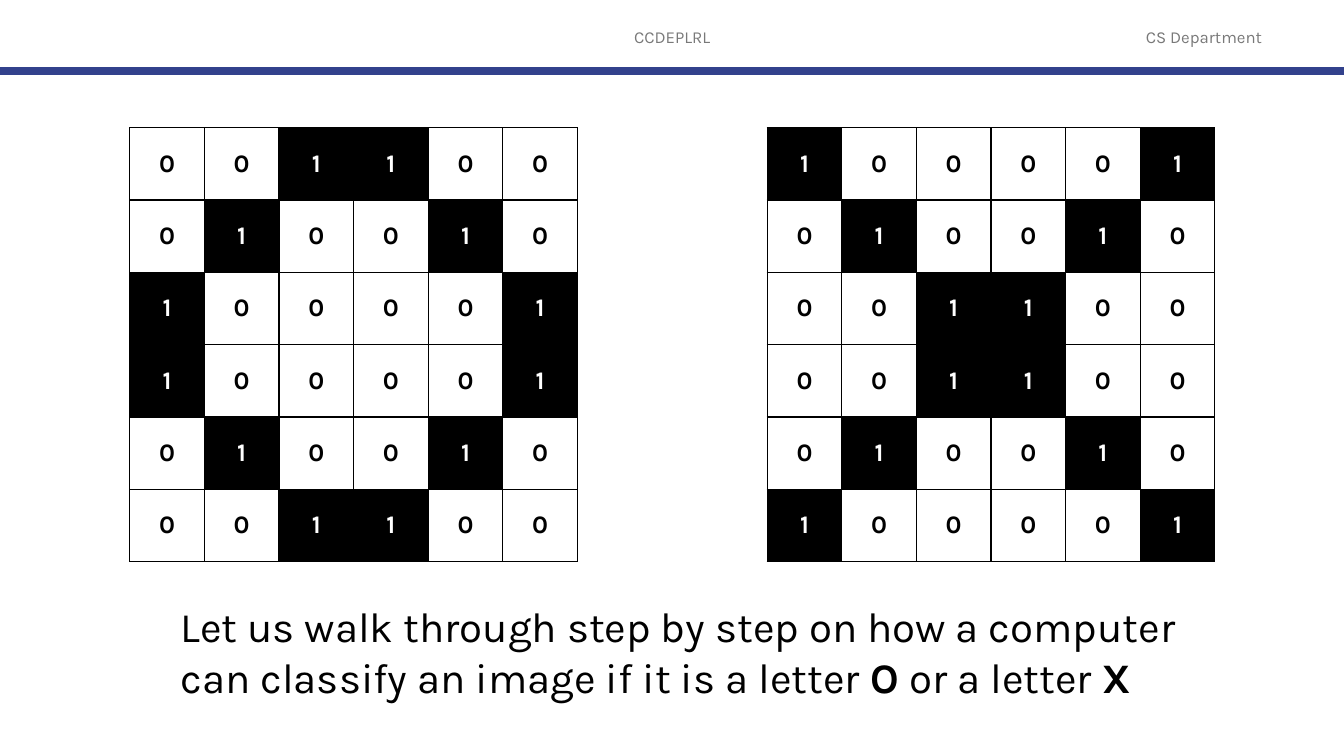
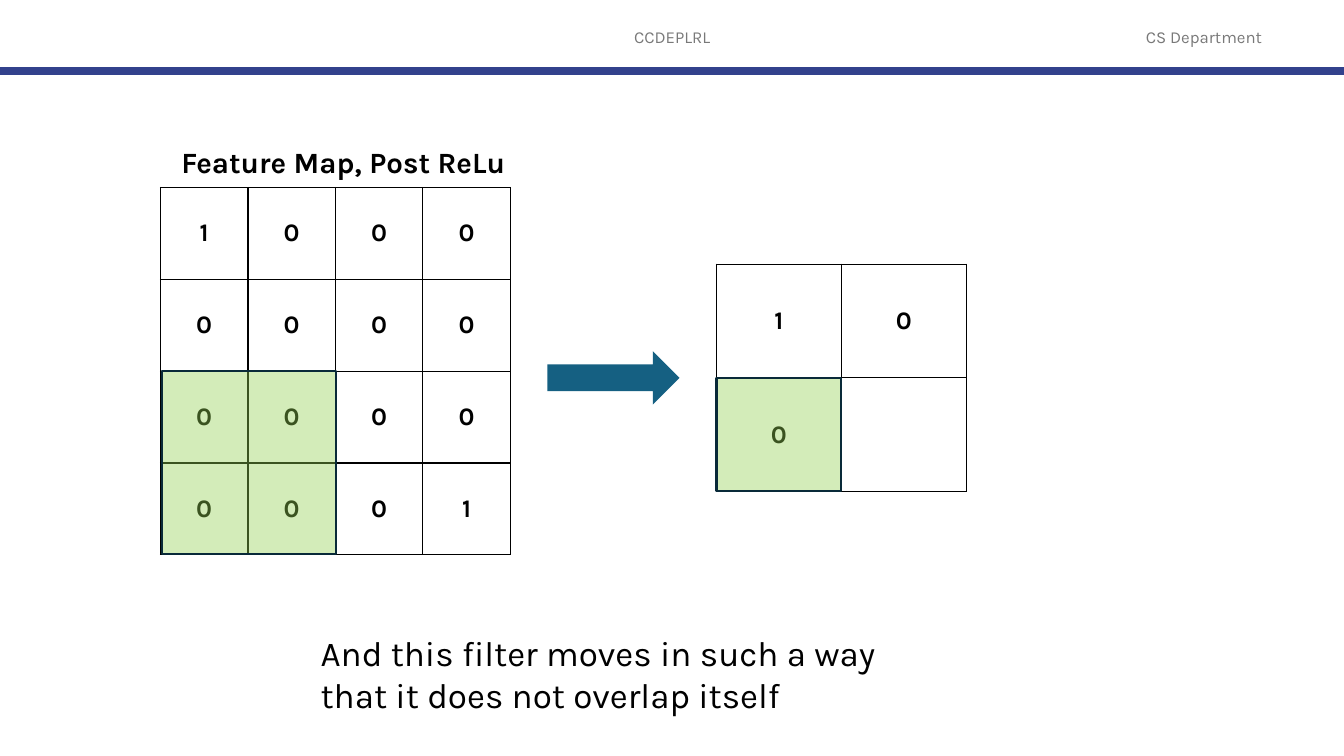
from lxml.etree import SubElement
from pptx import Presentation
from pptx.dml.color import RGBColor
from pptx.enum.shapes import MSO_CONNECTOR, MSO_SHAPE
from pptx.enum.text import MSO_ANCHOR, MSO_AUTO_SIZE, PP_ALIGN
from pptx.oxml.ns import qn
from pptx.util import Pt

FONT = "Karla"
BLACK = "000000"
WHITE = "FFFFFF"
GRAY = "797979"
NAVY = "32418C"
TEAL = "156082"
GREEN = "92D050"
DARK_TEAL = "092A39"
SLIDE_WIDTH = 960
SLIDE_HEIGHT = 540

LETTER_O = ["001100", "010010", "100001", "100001", "010010", "001100"]
LETTER_X = ["100001", "010010", "001100", "001100", "010010", "100001"]
FEATURE_MAP = ["1000", "0000", "0000", "0001"]
POOLED_MAP = ["10", "0 "]


def color(value):
    return RGBColor.from_string(value)


def set_font(para, size, ink=BLACK, bold=False, align=PP_ALIGN.LEFT):
    para.alignment = align
    para.font.name = FONT
    para.font.size = Pt(size)
    para.font.bold = bold
    para.font.color.rgb = color(ink)


def add_label(page, text, left, top, width, height, size, **style):
    box = page.shapes.add_textbox(Pt(left), Pt(top), Pt(width), Pt(height))
    box.text_frame.word_wrap = True
    box.text_frame.vertical_anchor = MSO_ANCHOR.MIDDLE
    para = box.text_frame.paragraphs[0]
    para.text = text
    set_font(para, size, **style)
    return box


def add_rule(page, top, weight):
    rule = page.shapes.add_connector(
        MSO_CONNECTOR.STRAIGHT, Pt(0), Pt(top), Pt(SLIDE_WIDTH), Pt(top))
    rule.line.color.rgb = color(NAVY)
    rule.line.width = Pt(weight)
    SubElement(rule.element.spPr, qn("a:effectLst"))
    return rule


def put_header_on_layout(layout, page):
    for placeholder in list(layout.placeholders)[1:]:
        layout.shapes.element.remove(placeholder.element)
    centered = {"ink": GRAY, "align": PP_ALIGN.CENTER}
    header = [
        add_label(page, "CCDEPLRL", 318.2, 12.2, 324, 28.8, 12, **centered),
        add_label(page, "CS Department", 786.2, 12.2, 147.6, 28.8, 12, **centered),
        add_rule(page, 50.6, 6),
    ]
    for shape in header:
        layout.shapes.element.append(shape.element)


def set_caption(page, spans, left, top, width, height, size):
    caption = page.shapes.title
    caption.left, caption.top = Pt(left), Pt(top)
    caption.width, caption.height = Pt(width), Pt(height)
    frame = caption.text_frame
    frame.auto_size = MSO_AUTO_SIZE.NONE
    frame.word_wrap = True
    frame.vertical_anchor = MSO_ANCHOR.TOP
    para = frame.paragraphs[0]
    set_font(para, size)
    for text, bold in spans:
        span = para.add_run()
        span.text = text
        span.font.bold = bold


def add_borders(table_cell):
    properties = table_cell.get_or_add_tcPr()
    for side in ("a:lnL", "a:lnR", "a:lnT", "a:lnB"):
        border = SubElement(properties, qn(side), w=str(Pt(1)))
        fill = SubElement(border, qn("a:solidFill"))
        SubElement(fill, qn("a:srgbClr"), val=BLACK)


def add_grid(page, rows, left, top, cell_width, cell_height, ink_ones=False):
    row_count, column_count = len(rows), len(rows[0])
    frame = page.shapes.add_table(
        row_count, column_count, Pt(left), Pt(top),
        Pt(cell_width * column_count), Pt(cell_height * row_count))
    table = frame.table
    table.first_row = False
    table.horz_banding = False
    for table_cell in frame.element.iter(qn("a:tc")):
        add_borders(table_cell)
    for cell, digit in zip(table.iter_cells(), "".join(rows)):
        inked = ink_ones and digit == "1"
        cell.fill.solid()
        cell.fill.fore_color.rgb = color(BLACK if inked else WHITE)
        cell.vertical_anchor = MSO_ANCHOR.MIDDLE
        para = cell.text_frame.paragraphs[0]
        para.text = digit.strip()
        set_font(para, 18, WHITE if inked else BLACK, True, PP_ALIGN.CENTER)


def add_filled_shape(page, kind, left, top, width, height, fill):
    shape = page.shapes.add_shape(kind, Pt(left), Pt(top), Pt(width), Pt(height))
    shape.shadow.inherit = False
    shape.fill.solid()
    shape.fill.fore_color.rgb = color(fill)
    shape.line.fill.background()
    return shape


def add_highlight(page, left, top, width, height):
    shape = add_filled_shape(
        page, MSO_SHAPE.RECTANGLE, left, top, width, height, GREEN)
    fill_color = next(shape.element.spPr.iter(qn("a:srgbClr")))
    SubElement(fill_color, qn("a:alpha"), val="40000")
    shape.line.color.rgb = color(DARK_TEAL)
    shape.line.width = Pt(1.5)


def build_letters(page):
    set_caption(page, [
        ("Let us walk through step by step on how a computer can classify "
         "an image if it is a letter ", False),
        ("O", True),
        (" or a letter ", False),
        ("X", True),
    ], 121.7, 425.5, 746, 80, 30)
    for rows, left in ((LETTER_O, 92.7), (LETTER_X, 548)):
        add_grid(page, rows, left, 91.2, 53.3, 51.7, ink_ones=True)


def build_pooling(page):
    set_caption(page, [
        ("And this filter moves in such a way that it does not overlap itself",
         False),
    ], 221.8, 447.2, 446.4, 67.7, 25)
    add_grid(page, FEATURE_MAP, 114.6, 133.9, 62.5, 65.6)
    add_label(page, "Feature Map, Post ReLu", 122.4, 99.4, 250, 32.4, 21, bold=True)
    add_highlight(page, 115.8, 265, 124, 131)
    add_grid(page, POOLED_MAP, 511.8, 188.8, 89.2, 81.1)
    add_highlight(page, 511.8, 269.9, 89.2, 81.1)
    add_filled_shape(page, MSO_SHAPE.RIGHT_ARROW, 391, 250.8, 94.4, 38.2, TEAL)


def main():
    deck = Presentation()
    deck.slide_width, deck.slide_height = Pt(SLIDE_WIDTH), Pt(SLIDE_HEIGHT)
    layout = deck.slide_layouts.get_by_name("Title Only")
    letters = deck.slides.add_slide(layout)
    put_header_on_layout(layout, letters)
    build_letters(letters)
    build_pooling(deck.slides.add_slide(layout))
    deck.save("out.pptx")


if __name__ == "__main__":
    main()
